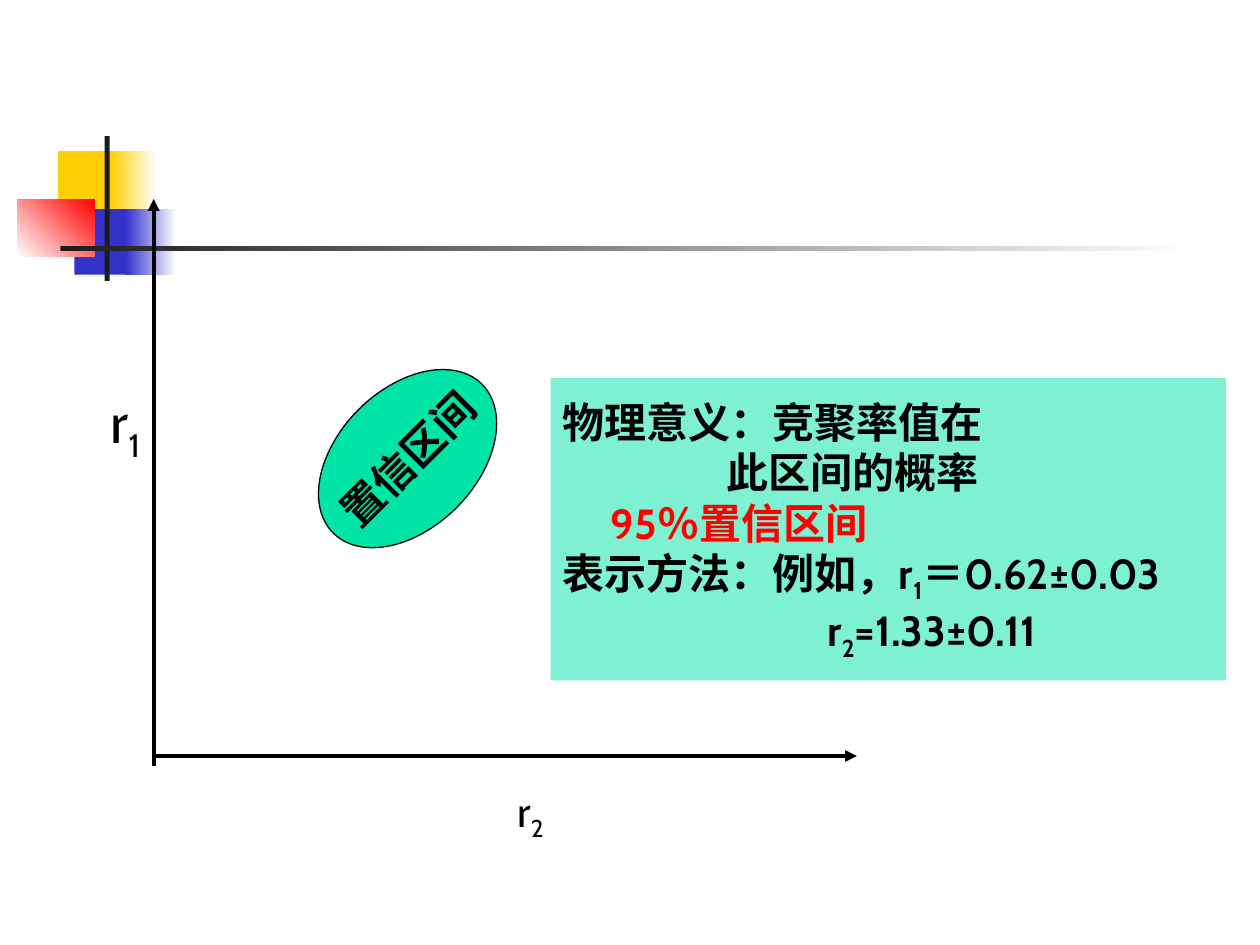
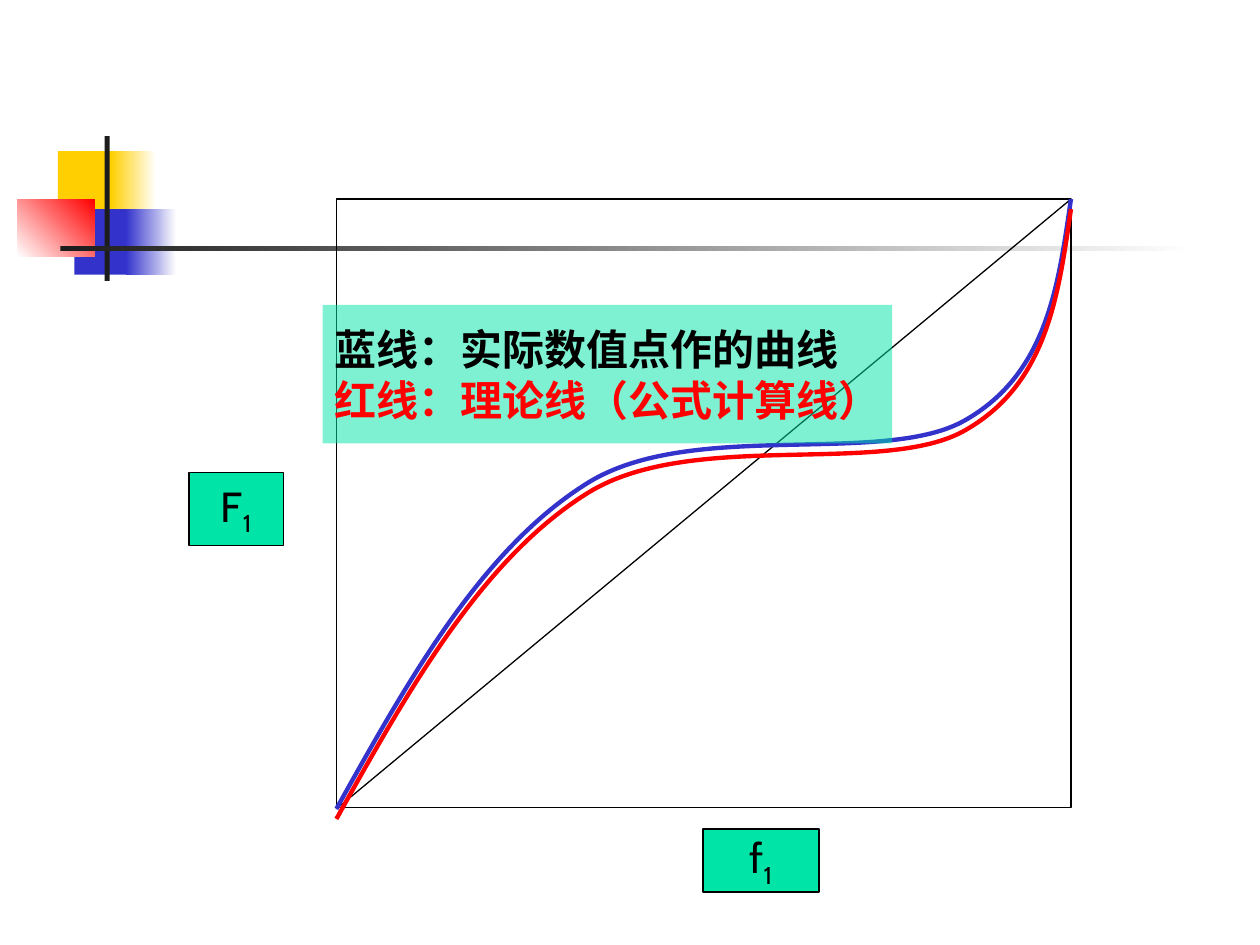
"""Build two slides on the confidence interval of reactivity ratios and the copolymer composition curve."""
from pptx import Presentation
from pptx.dml.color import RGBColor
from pptx.enum.shapes import MSO_CONNECTOR as CONN, MSO_SHAPE as SHAPE
from pptx.enum.text import MSO_ANCHOR as ANCHOR, PP_ALIGN as ALIGN
from pptx.oxml.ns import qn
from pptx.util import Inches, Pt
from lxml.etree import SubElement

FONT = "Cabin"
BLACK, WHITE, INK = "000000", "FFFFFF", "1C1C1C"
YELLOW, BLUE, RED, GREEN = "FFCF01", "3333CC", "FF0000", "00E4A8"
rgb = RGBColor.from_string


def add_box(s, kind, at, fill=None, line=None, alpha=None):
    """Add a preset shape with a plain, see-through or gradient fill."""
    sp = s.shapes.add_shape(kind, *map(Inches, at))
    sp.shadow.inherit = False
    if fill is None:
        sp.fill.background()
    elif isinstance(fill, tuple):
        start, end, angle = fill
        sp.fill.gradient()
        sp.fill.gradient_angle = angle
        for stop, color in zip(sp.fill.gradient_stops, (start, end)):
            stop.color.rgb = rgb(color)
    else:
        sp.fill.solid()
        sp.fill.fore_color.rgb = rgb(fill)
    if alpha:
        color = sp._element.spPr.find(".//" + qn("a:srgbClr"))
        SubElement(color, qn("a:alpha")).set("val", str(alpha * 1000))
    if line:
        sp.line.color.rgb = rgb(line)
        sp.line.width = Pt(0.75)
    else:
        sp.line.fill.background()
    return sp


def write(sp, lines, align=ALIGN.CENTER, size=24, bold=False):
    """Write (text, colour, indent) lines; the character after _ is a subscript."""
    tf = sp.text_frame
    tf.word_wrap = align == ALIGN.LEFT
    tf.vertical_anchor = ANCHOR.MIDDLE
    for i, (text, color, indent) in enumerate(lines):
        p = tf.add_paragraph() if i else tf.paragraphs[0]
        p.alignment = align
        if indent:
            p._p.get_or_add_pPr().set("marL", str(Inches(indent)))
        head, *tails = text.split("_")
        parts = [(head, False)]
        for tail in tails:
            parts += [(tail[0], True), (tail[1:], False)]
        for part, is_sub in parts:
            if part:
                r = p.add_run()
                r.text = part
                r.font.name, r.font.size, r.font.bold = FONT, Pt(size), bold
                r.font.color.rgb = rgb(color)
                if is_sub:
                    r._r.get_or_add_rPr().set("baseline", "-25000")


prs = Presentation()
prs.slide_width, prs.slide_height = Inches(10), Inches(7.5)
interval, curves = [prs.slides.add_slide(prs.slide_layouts[6]) for _ in range(2)]

emblem = [
    ((0.46, 1.2, 0.48, 0.52), YELLOW),
    ((0.88, 1.2, 0.36, 0.52), (YELLOW, WHITE, 0)),
    ((0.59, 1.66, 0.46, 0.52), BLUE),
    ((1, 1.66, 0.4, 0.52), (BLUE, WHITE, 0)),
    ((0.14, 1.58, 0.61, 0.46), (WHITE, RED, 45)),
    ((0.83, 1.08, 0.04, 1.15), INK),
    ((0.48, 1.95, 9, 0.04), (INK, WHITE, 0)),
]
for s in (interval, curves):
    for at, fill in emblem:
        add_box(s, SHAPE.RECTANGLE, at, fill)

add_box(curves, SHAPE.RECTANGLE, (2.67, 1.58, 5.83, 4.83), line=BLACK)

lines = [
    (interval, (1.22, 6.08, 1.22, 1.58), 2.25, True),
    (interval, (1.22, 6, 6.8, 6), 2.25, True),
    (curves, (2.67, 6.42, 8.5, 1.58), 0.75, False),
]
for s, ends, width, has_arrow in lines:
    cn = s.shapes.add_connector(CONN.STRAIGHT, *map(Inches, ends))
    cn.line.color.rgb = rgb(BLACK)
    cn.line.width = Pt(width)
    if has_arrow:
        SubElement(cn.line._get_or_add_ln(), qn("a:tailEnd")).set("type", "triangle")
    SubElement(cn._element.spPr, qn("a:effectLst"))

for text, at, size in [("r_1", (0.83, 3, 0.33, 0.75), 32),
                       ("r_2", (3.75, 6.25, 0.92, 0.42), 24)]:
    label = interval.shapes.add_textbox(*map(Inches, at))
    label.text_frame.margin_left = label.text_frame.margin_right = 0
    write(label, [(text, BLACK, 0)], size=size)

ellipse = add_box(interval, SHAPE.OVAL, (2.4, 3.09, 1.67, 1.1), GREEN, BLACK)
ellipse.rotation = -45
write(ellipse, [("置信区间", BLACK, 0)], bold=True)

for text, at in [("f_1", (5.58, 6.58, 0.92, 0.5)), ("F_1", (1.5, 3.75, 0.75, 0.58))]:
    write(add_box(curves, SHAPE.RECTANGLE, at, GREEN, BLACK), [(text, BLACK, 0)])

bezier = [
    (8.5, 1.58),
    (8.4, 2.27), (8.31, 2.96), (7.67, 3.33),
    (7.03, 3.71), (5.5, 3.32), (4.67, 3.83),
    (3.83, 4.35), (3.25, 5.38), (2.67, 6.42),
]
for color, drop in [(BLUE, 0), (RED, 0.08)]:
    points = [(Inches(x), Inches(y + drop)) for x, y in bezier]
    builder = curves.shapes.build_freeform(*points[0])
    builder.add_line_segments(points[1:], close=False)
    sp = builder.convert_to_shape()
    segments = list(sp._element.iter(qn("a:lnTo")))
    outline = segments[0].getparent()
    for i, segment in enumerate(segments):
        if i % 3 == 0:
            cubic = SubElement(outline, qn("a:cubicBezTo"))
        cubic.append(segment[0])
        outline.remove(segment)
    sp.shadow.inherit = False
    sp.fill.background()
    sp.line.color.rgb = rgb(color)
    sp.line.width = Pt(2.5)

panels = [
    (interval, (4.37, 3, 5.36, 2.4), [
        ("物理意义：竞聚率值在", BLACK, 0),
        ("此区间的概率", BLACK, 1.3),
        ("95％置信区间", RED, 0.38),
        ("表示方法：例如，r_1＝0.62±0.03", BLACK, 0),
        ("r_2=1.33±0.11", BLACK, 2.1),
    ]),
    (curves, (2.56, 2.42, 4.52, 1.1), [
        ("蓝线：实际数值点作的曲线", BLACK, 0),
        ("红线：理论线（公式计算线）", RED, 0),
    ]),
]
for s, at, texts in panels:
    panel = add_box(s, SHAPE.RECTANGLE, at, GREEN, alpha=50)
    panel.text_frame.margin_right = 0
    write(panel, texts, ALIGN.LEFT, bold=True)

prs.save("out.pptx")
